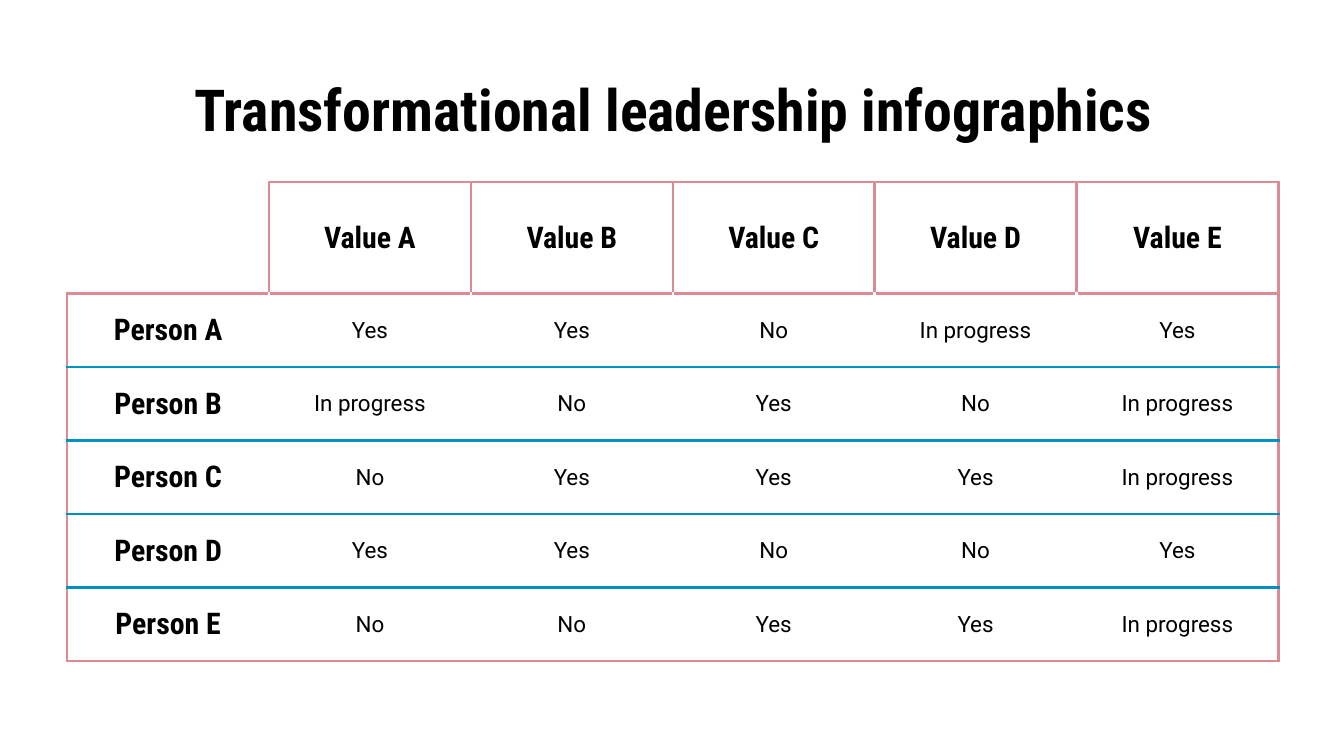
import pptx
import pptx.util
import pptx.dml.color
import pptx.enum.text
import pptx.oxml.ns
from lxml import etree

Cm, Pt = pptx.util.Cm, pptx.util.Pt
RGBColor = pptx.dml.color.RGBColor
ANCHOR = pptx.enum.text.MSO_ANCHOR
CENTER = pptx.enum.text.PP_ALIGN.CENTER
qn = pptx.oxml.ns.qn

TITLE = "Transformational leadership infographics"
ROWS = [
    ("", "Value A", "Value B", "Value C", "Value D", "Value E"),
    ("Person A", "Yes", "Yes", "No", "In progress", "Yes"),
    ("Person B", "In progress", "No", "Yes", "No", "In progress"),
    ("Person C", "No", "Yes", "Yes", "Yes", "In progress"),
    ("Person D", "Yes", "Yes", "No", "No", "Yes"),
    ("Person E", "No", "No", "Yes", "Yes", "In progress"),
]
BLACK = RGBColor(0, 0, 0)
WHITE = RGBColor(255, 255, 255)
PINK = RGBColor(0xDD, 0x8A, 0x94)
BLUE = RGBColor(0x00, 0x91, 0xC4)

HEAD, BODY = "Roboto Condensed", "Roboto"
LEFT, TOP, WIDTH = 1.27, 3.44, 22.89
HEAD_ROW, BODY_ROW = 2.11, 1.39
COUNT = len(ROWS)
COLS = len(ROWS[0])


def style(par, name, size, bold):
    par.alignment = CENTER
    font = par.font
    font.name, font.size, font.bold = name, Pt(size), bold
    font.color.rgb = BLACK


def side_color(row, edge):
    """Colour of the vertical line at a column edge."""
    if row == 0:
        return PINK if edge else WHITE
    return PINK if edge in (0, COLS) else WHITE


def level_color(edge, col):
    """Colour of the horizontal line at a row edge."""
    if edge == 0:
        return PINK if col else WHITE
    return PINK if edge in (1, COUNT) else BLUE


def add_borders(cell, colors):
    """Draw the left, right, top and bottom lines, in that order."""
    props = cell._tc.get_or_add_tcPr()
    for place, (side, color) in enumerate(zip("LRTB", colors)):
        line = etree.Element(qn(f"a:ln{side}"), w=str(Pt(1.5)))
        fill = etree.SubElement(line, qn("a:solidFill"))
        etree.SubElement(fill, qn("a:srgbClr"), val=str(color))
        props.insert(place, line)


def add_title(slide):
    title = slide.shapes.title
    title.left, title.top = Cm(LEFT), Cm(1.14)
    title.width, title.height = Cm(WIDTH), Cm(1.57)
    frame = title.text_frame
    frame.text = TITLE
    frame.word_wrap = True
    frame.auto_size = pptx.enum.text.MSO_AUTO_SIZE.NONE
    frame.vertical_anchor = ANCHOR.TOP
    frame.margin_left = frame.margin_right = Cm(0.25)
    frame.margin_top = frame.margin_bottom = Cm(0.25)
    style(frame.paragraphs[0], HEAD, 31, True)


def add_grid(slide):
    height = HEAD_ROW + (COUNT - 1) * BODY_ROW
    table = slide.shapes.add_table(
        COUNT, COLS, Cm(LEFT), Cm(TOP), Cm(WIDTH), Cm(height)).table
    table.first_row = table.horz_banding = False
    for col in table.columns:
        col.width = Cm(WIDTH / COLS)
    for r, texts in enumerate(ROWS):
        table.rows[r].height = Cm(BODY_ROW if r else HEAD_ROW)
        for c, text in enumerate(texts):
            cell = table.cell(r, c)
            cell.text = text
            cell.vertical_anchor = ANCHOR.MIDDLE
            cell.margin_left = cell.margin_right = 0
            cell.margin_top = cell.margin_bottom = 0
            cell.fill.solid()
            cell.fill.fore_color.rgb = WHITE
            par = cell.text_frame.paragraphs[0]
            if r and c:
                style(par, BODY, 12, False)
            else:
                style(par, HEAD, 16, True)
            add_borders(cell, (side_color(r, c), side_color(r, c + 1),
                               level_color(r, c), level_color(r + 1, c)))


def main():
    deck = pptx.Presentation()
    deck.slide_width, deck.slide_height = Cm(25.4), Cm(14.29)
    slide = deck.slides.add_slide(deck.slide_layouts[5])
    add_title(slide)
    add_grid(slide)
    deck.save("out.pptx")


if __name__ == "__main__":
    main()
